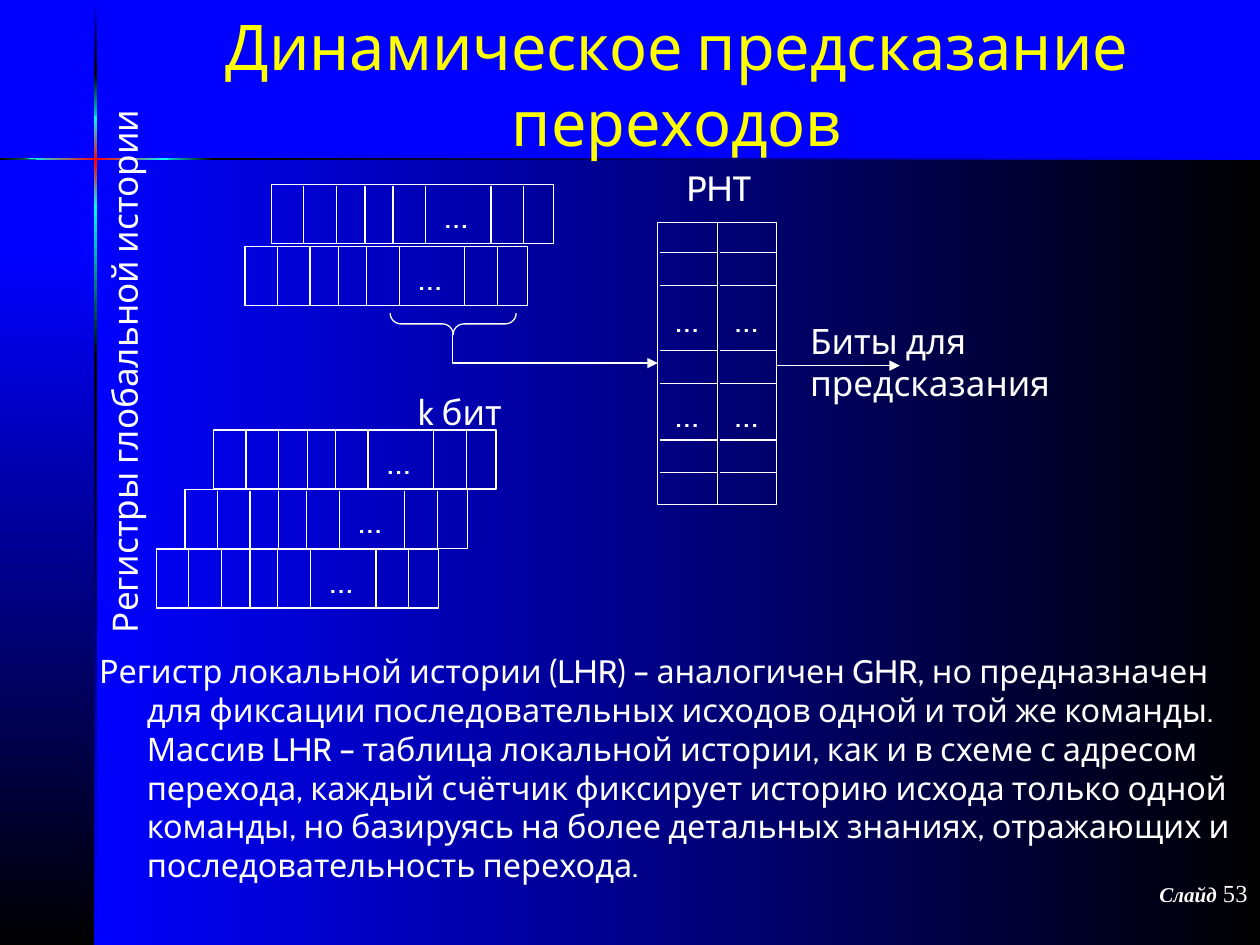
from copy import deepcopy
from dataclasses import dataclass

from pptx import Presentation
from pptx.dml.color import RGBColor as Rgb
from pptx.enum.shapes import MSO_CONNECTOR as Link, MSO_SHAPE as Form
from pptx.enum.text import MSO_ANCHOR as Anchor, MSO_AUTO_SIZE as Fit, PP_ALIGN as Align
from pptx.oxml.ns import qn
from pptx.oxml.xmlchemy import OxmlElement as Element
from pptx.util import Cm, Pt


@dataclass(frozen=True)
class Theme:
    blue: Rgb = Rgb(0, 0, 255)
    black: Rgb = Rgb(0, 0, 0)
    cyan: Rgb = Rgb(0, 255, 255)
    red: Rgb = Rgb(255, 0, 0)
    white: Rgb = Rgb(255, 255, 255)
    yellow: Rgb = Rgb(255, 255, 0)
    face: str = "Cabin"
    footer_face: str = "Times New Roman"
    title: float = 36
    label: float = 20
    body: float = 18.5
    number: float = 14
    footer: float = 12
    line: float = 0.75


class Painter:
    def __init__(self, slide, theme):
        self.slide = slide
        self.theme = theme
        self.shapes = slide.shapes

    def background(self, color):
        fill = self.slide.background.fill
        fill.solid()
        fill.fore_color.rgb = color

    def shade(self, shape, colors, down):
        shape.shadow.inherit = False
        shape.line.fill.background()
        shape.fill.gradient()
        shape.fill.gradient_angle = 270 if down else 0
        stop_list = shape._element.spPr.find(qn("a:gradFill")).find(qn("a:gsLst"))
        for _ in colors[2:]:
            stop_list.append(deepcopy(stop_list[-1]))
        for index, (stop, color) in enumerate(zip(shape.fill.gradient_stops, colors)):
            stop.position = index / (len(colors) - 1)
            stop.color.rgb = color

    def band(self, left, top, width, height, colors, down=False):
        shape = self.shapes.add_shape(Form.RECTANGLE, Cm(left), Cm(top), Cm(width), Cm(height))
        self.shade(shape, colors, down)

    def beam(self, points, colors):
        corners = [(Cm(x), Cm(y)) for x, y in points]
        builder = self.shapes.build_freeform(*corners[0])
        builder.add_line_segments(corners[1:])
        self.shade(builder.convert_to_shape(), colors, False)

    def stroke(self, item):
        item.line.color.rgb = self.theme.white
        item.line.width = Pt(self.theme.line)

    def outline(self, form, left, top, width, height):
        shape = self.shapes.add_shape(form, Cm(left), Cm(top), Cm(width), Cm(height))
        shape.shadow.inherit = False
        shape.fill.background()
        self.stroke(shape)
        return shape

    def line(self, start, end, arrow=False, kind=Link.STRAIGHT):
        connector = self.shapes.add_connector(kind, *(Cm(v) for v in (*start, *end)))
        self.stroke(connector)
        connector._element.spPr.append(Element("a:effectLst"))
        if arrow:
            tail = Element("a:tailEnd")
            tail.set("type", "triangle")
            connector.line._get_or_add_ln().append(tail)
        return connector

    def down_then_right(self, start, end):
        middle_x, middle_y = ((a + b) / 2 for a, b in zip(start, end))
        half_run, half_drop = ((b - a) / 2 for a, b in zip(start, end))
        connector = self.line(
            (middle_x + half_drop, middle_y - half_run),
            (middle_x - half_drop, middle_y + half_run),
            arrow=True, kind=Link.ELBOW)
        connector._element.spPr.find(qn("a:prstGeom")).set("prst", "bentConnector2")
        connector.rotation = 270

    def text(self, left, top, width, height, lines, size, color=None, align=Align.LEFT, wrap=True):
        box = self.shapes.add_textbox(Cm(left), Cm(top), Cm(width), Cm(height))
        frame = box.text_frame
        frame.word_wrap = wrap
        frame.text = lines
        for para in frame.paragraphs:
            para.alignment = align
            para.font.name = self.theme.face
            para.font.size = Pt(size)
            para.font.color.rgb = color or self.theme.white
        return box

    def label(self, left, top, width, lines, height=1.11):
        box = self.text(left, top, width, height, lines, self.theme.label, wrap=False)
        box.text_frame.auto_size = Fit.SHAPE_TO_FIT_TEXT
        return box

    def register(self, left, top):
        width, height = 5.69, 1.19
        self.outline(Form.RECTANGLE, left, top, width, height)
        for offset in (0.65, 1.31, 1.89, 2.45, 3.11, 4.43, 5.09):
            self.line((left + offset, top + 0.02), (left + offset, top + height - 0.02))
        self.label(left + 3.24, top + 0.06, 1.07, "…")

    def table_column(self, left, top):
        width, height = 1.2, 5.69
        self.outline(Form.RECTANGLE, left, top, width, height)
        for offset in (0.61, 1.27, 2.59, 3.25, 4.39, 5.05):
            self.line((left + 0.05, top + offset), (left + width, top + offset))
        for offset in (1.4, 3.3):
            self.label(left + 0.1, top + offset, 1.07, "…")


def draw_backdrop(painter):
    theme = painter.theme
    fade = (theme.blue, theme.black)
    glow = (theme.cyan, theme.red, theme.cyan)
    painter.background(theme.blue)
    painter.band(1.9, 3.18, 23.5, 15.87, fade)
    painter.band(0, 5.13, 1.9, 13.92, fade, down=True)
    for top, height, colors in (
        (0.03, 1.47, fade),
        (7.16, 11.89, fade[::-1]),
        (4.14, 3.1, (theme.cyan, theme.black)),
        (1.47, 1.12, (theme.black, theme.cyan)),
        (2.34, 1.85, glow),
    ):
        painter.band(1.9, top, 0.05, height, colors, down=True)
    for left, width, colors in (
        (0, 1.55, (theme.black, theme.cyan)),
        (4.24, 21.16, fade[::-1]),
        (3.18, 1.12, (theme.cyan, theme.black)),
    ):
        painter.band(left, 3.18, width, 0.05, colors)
    painter.beam([(0.53, 3.2), (1.52, 3.23), (3.38, 3.23), (3.38, 3.18), (1.52, 3.18)], glow)


def draw_texts(painter):
    theme = painter.theme
    title = painter.text(1.9, 0.2, 23.5, 2.97, "Динамическое предсказание переходов",
                         theme.title, theme.yellow, Align.CENTER)
    title.text_frame.vertical_anchor = Anchor.MIDDLE

    body = painter.text(
        1.75, 13, 23.5, 6,
        "Регистр локальной истории (LHR) – аналогичен GHR, но предназначен для фиксации "
        "последовательных исходов одной и той же команды. Массив LHR – таблица локальной "
        "истории, как и в схеме с адресом перехода, каждый счётчик фиксирует историю исхода "
        "только одной команды, но базируясь на более детальных знаниях, отражающих и "
        "последовательность перехода.", theme.body)
    para = body.text_frame.paragraphs[0]
    para.space_before = Pt(5)
    indent = para._p.get_or_add_pPr()
    indent.set("marL", str(Cm(0.96)))
    indent.set("indent", str(Cm(-0.96)))

    footer = painter.text(20.12, 17.58, 5.28, 1.27, "Слайд", theme.footer, align=Align.RIGHT)
    para = footer.text_frame.paragraphs[0]
    para.font.name = theme.footer_face
    word = para.runs[0]
    word.font.bold = word.font.italic = True
    number = para.add_run()
    number.text = " 53"
    number.font.size = Pt(theme.number)


def draw_scheme(painter):
    for left in (13.26, 14.46):
        painter.table_column(left, 4.48)
    for left, top in ((4.94, 4.97), (5.47, 3.72)):
        painter.register(left, top)
    for step in range(3):
        painter.register(4.31 - 0.58 * step, 8.67 + 1.2 * step)
    painter.label(-3.07, 6.88, 11.15, "Регистры глобальной истории").rotation = 270
    painter.label(13.59, 3.23, 1.85, "PHT")
    painter.label(8.18, 7.75, 2.29, "k бит")
    painter.label(16.08, 6.32, 5.5, "Биты для\nпредсказания", height=1.96)
    brace = painter.outline(Form.RIGHT_BRACE, 8.92, 5.26, 0.43, 2.54)
    brace.adjustments[0] = 0.5
    brace.rotation = 90
    painter.down_then_right((9.12, 6.73), (13.26, 7.32))
    painter.line((15.67, 7.37), (18.14, 7.37), arrow=True)


def main():
    deck = Presentation()
    deck.slide_width, deck.slide_height = Cm(25.4), Cm(19.05)
    page = deck.slides.add_slide(deck.slide_layouts[6])
    painter = Painter(page, Theme())
    draw_backdrop(painter)
    draw_texts(painter)
    draw_scheme(painter)
    deck.save("out.pptx")


if __name__ == "__main__":
    main()
